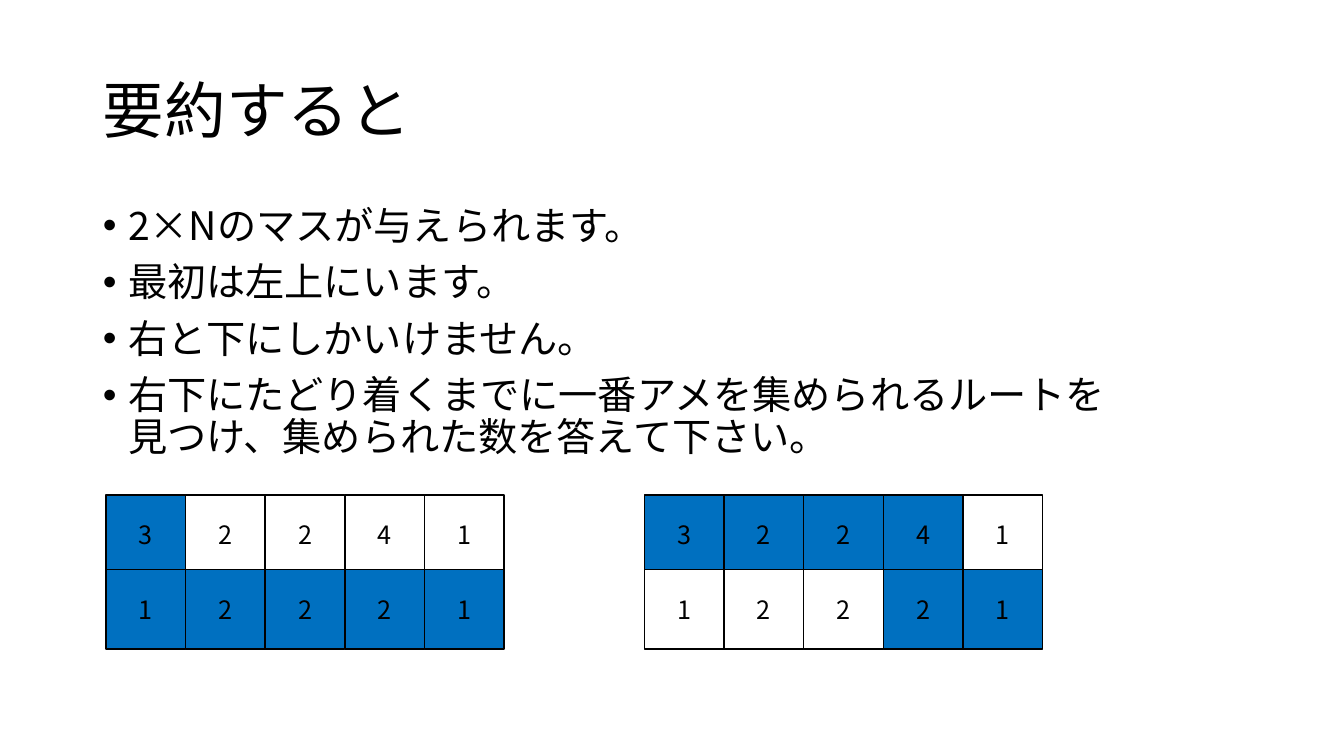
import pptx
import pptx.dml.color
import pptx.enum.shapes
import pptx.enum.text
import pptx.oxml.ns
import pptx.util
from lxml import etree

Inches = pptx.util.Inches
Pt = pptx.util.Pt
RGBColor = pptx.dml.color.RGBColor

BLACK = RGBColor(0x00, 0x00, 0x00)
WHITE = RGBColor(0xFF, 0xFF, 0xFF)
ROUTE_BLUE = RGBColor(0x00, 0x70, 0xC0)
FONT = "Noto Sans CJK JP"

CELL_SIZE = Inches(0.79)
ROW_STEP = Inches(0.74)
CANDIES = [[3, 2, 2, 4, 1], [1, 2, 2, 2, 1]]
RULES = [
    "2×Nのマスが与えられます。",
    "最初は左上にいます。",
    "右と下にしかいけません。",
    "右下にたどり着くまでに一番アメを集められるルートを\v見つけ、集められた数を答えて下さい。",
]


def format_runs(paragraph, size):
    for run in paragraph.runs:
        run.font.size = Pt(size)
        run.font.color.rgb = BLACK
        run.font.name = FONT
        east_asian = etree.SubElement(run.font._element, pptx.oxml.ns.qn("a:ea"))
        east_asian.set("typeface", FONT)


def place(shape, left, top, width, height):
    shape.left, shape.top, shape.width, shape.height = left, top, width, height


def fill_title(title, left, top, width, height):
    place(title, left, top, width, height)
    title.text_frame.text = "要約すると"
    title.text_frame.vertical_anchor = pptx.enum.text.MSO_ANCHOR.MIDDLE
    title.text_frame.auto_size = pptx.enum.text.MSO_AUTO_SIZE.NONE
    paragraph = title.text_frame.paragraphs[0]
    paragraph.alignment = pptx.enum.text.PP_ALIGN.LEFT
    paragraph.line_spacing = 0.9
    format_runs(paragraph, 44)


def fill_rules(body, left, top, width, height):
    place(body, left, top, width, height)
    body.text_frame.text = "\n".join(RULES)
    body.text_frame.auto_size = pptx.enum.text.MSO_AUTO_SIZE.NONE
    for paragraph in body.text_frame.paragraphs:
        paragraph.line_spacing = 0.9
        paragraph.space_before = Pt(10)
        properties = paragraph._p.get_or_add_pPr()
        properties.set("marL", str(Inches(0.25)))
        properties.set("indent", str(Inches(-0.25)))
        format_runs(paragraph, 28)


def add_candy_grid(slide, left, top, down_column):
    """Draw the grid with the route that moves down at down_column in blue."""
    for row, counts in enumerate(CANDIES):
        for column, count in enumerate(counts):
            cell = slide.shapes.add_shape(
                pptx.enum.shapes.MSO_SHAPE.RECTANGLE,
                left + column * CELL_SIZE, top + row * ROW_STEP,
                CELL_SIZE, CELL_SIZE)
            on_route = column <= down_column if row == 0 else column >= down_column
            cell.shadow.inherit = False
            cell.fill.solid()
            cell.fill.fore_color.rgb = ROUTE_BLUE if on_route else WHITE
            cell.line.color.rgb = BLACK
            cell.line.width = Pt(1)
            cell.text_frame.text = str(count)
            cell.text_frame.vertical_anchor = pptx.enum.text.MSO_ANCHOR.MIDDLE
            paragraph = cell.text_frame.paragraphs[0]
            paragraph.alignment = pptx.enum.text.PP_ALIGN.CENTER
            format_runs(paragraph, 18)


def main():
    presentation = pptx.Presentation()
    presentation.slide_width = Inches(13.33)
    presentation.slide_height = Inches(7.5)
    slide = presentation.slides.add_slide(presentation.slide_layouts[1])
    fill_title(slide.shapes.title, Inches(0.92), Inches(0.4), Inches(11.5), Inches(1.45))
    fill_rules(slide.placeholders[1], Inches(0.92), Inches(2), Inches(11.5), Inches(4.76))
    add_candy_grid(slide, Inches(1.05), Inches(4.91), down_column=0)
    add_candy_grid(slide, Inches(6.39), Inches(4.91), down_column=3)
    presentation.save("out.pptx")


if __name__ == "__main__":
    main()
